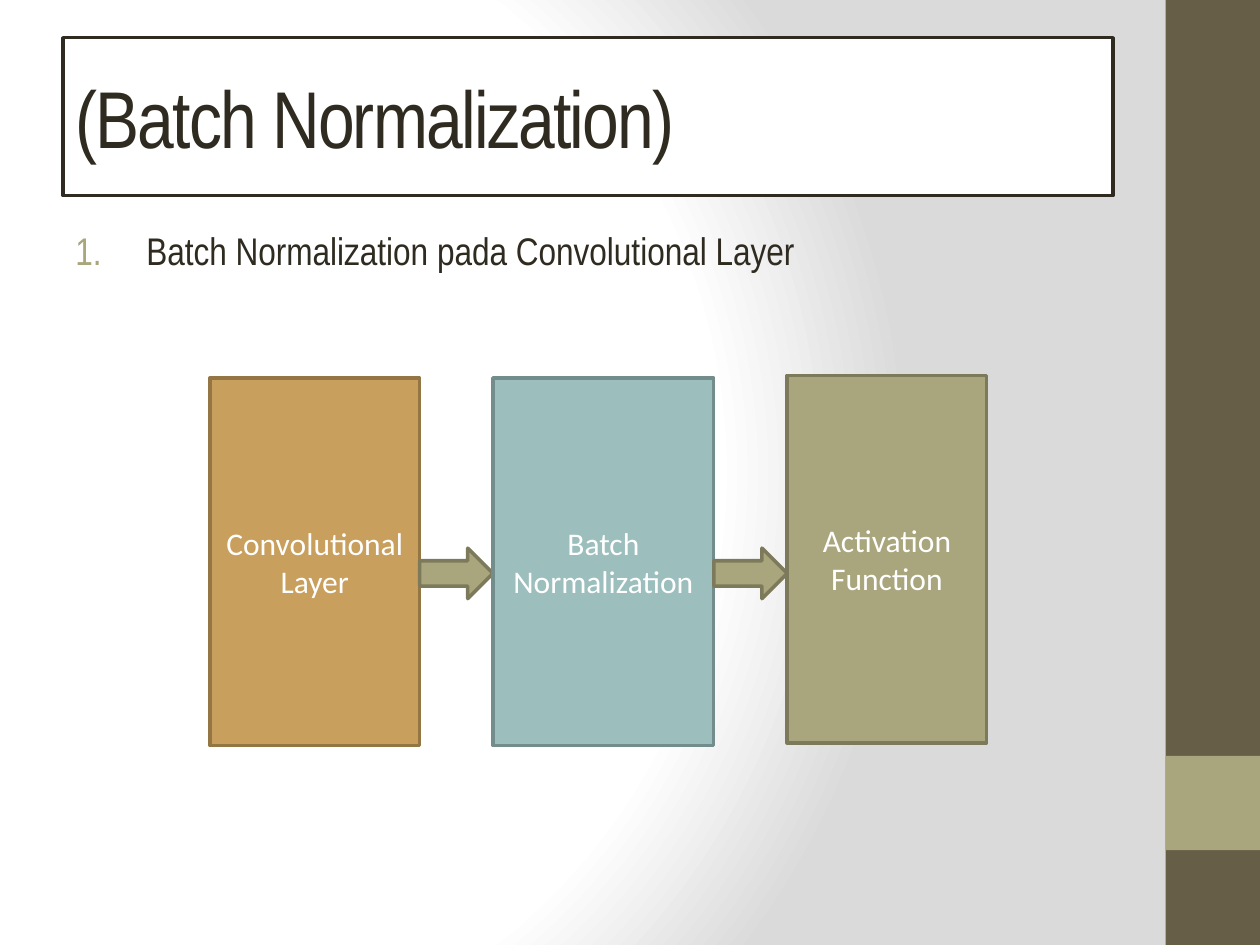
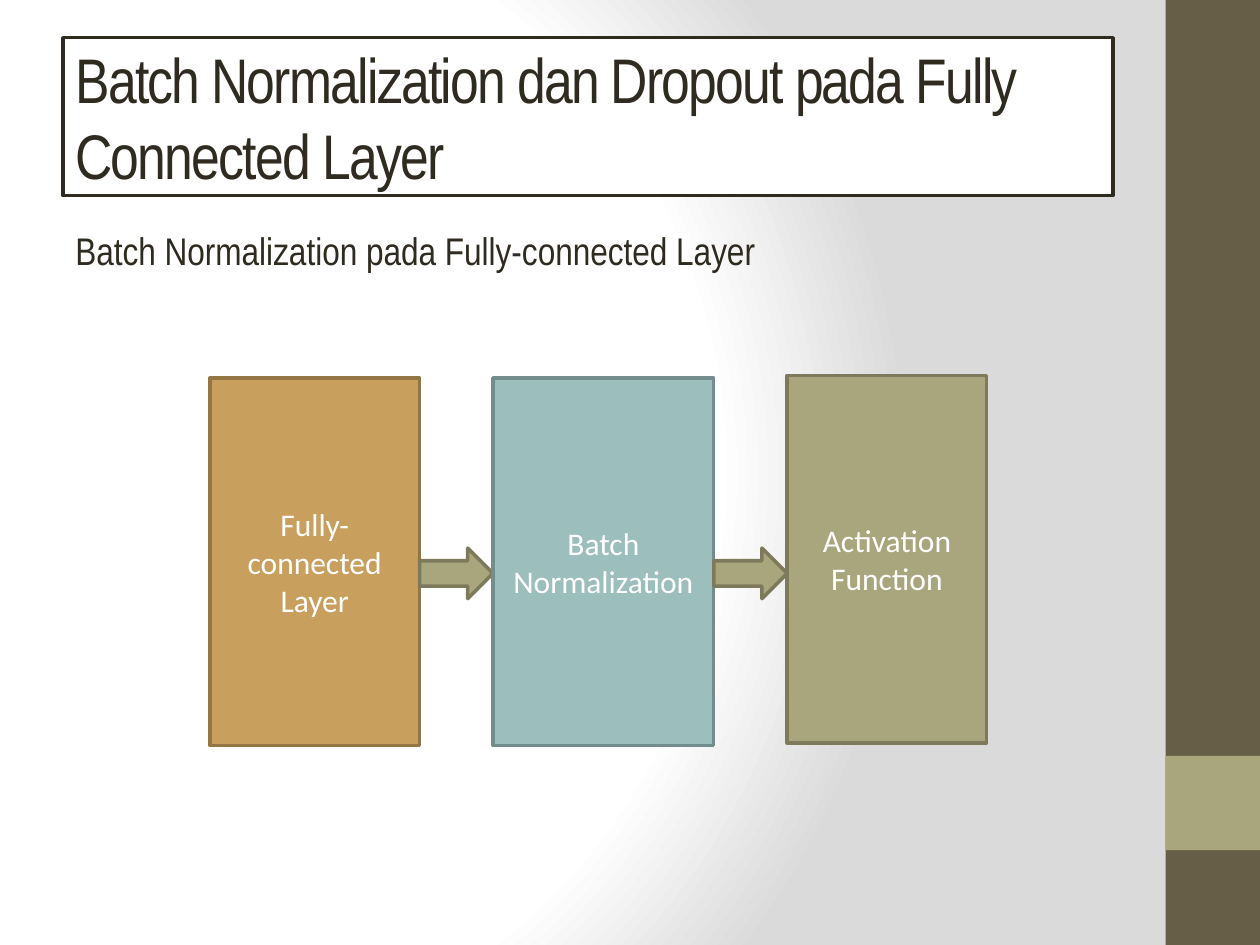
"""Build two slides on batch normalization in network layers."""
from dataclasses import dataclass

import lxml.etree
import pptx
import pptx.dml.color
import pptx.enum.shapes
import pptx.enum.text
import pptx.oxml
import pptx.oxml.ns
import pptx.util

Cm, Pt = pptx.util.Cm, pptx.util.Pt
SHAPE = pptx.enum.shapes.MSO_SHAPE
ALIGN = pptx.enum.text.PP_ALIGN
ANCHOR = pptx.enum.text.MSO_ANCHOR

INK, WHITE, SHADE = "2F2B20", "FFFFFF", "DADADA"
BROWN, OLIVE, OLIVE_EDGE = "675E47", "A9A57C", "7D7A5C"
HEAD_FONT, BOX_FONT = "Arial Narrow", "Calibri"
TEXT_LEFT, TEXT_WIDTH = 1.27, 21.17
FLOW_LEFT, BOX_HEIGHT, GAP = 4.23, 7.41, 1.48
ARROW_TOP, ARROW_HEIGHT = 11.05, 1.02

GRADIENT = f"""<a:gradFill {pptx.oxml.ns.nsdecls('a')} rotWithShape="1"><a:gsLst>
<a:gs pos="0"><a:srgbClr val="{WHITE}"/></a:gs>
<a:gs pos="75000"><a:srgbClr val="{WHITE}"/></a:gs>
<a:gs pos="100000"><a:srgbClr val="{SHADE}"/></a:gs></a:gsLst>
<a:path path="circle"><a:fillToRect l="20000" t="50000" r="100000" b="50000"/></a:path>
</a:gradFill>"""


@dataclass(frozen=True)
class Band:
    top: float
    height: float
    fill: str


@dataclass(frozen=True)
class Stage:
    top: float
    width: float
    fill: str
    edge: str


@dataclass(frozen=True)
class Page:
    title: str
    title_size: int
    subtitle: str
    numbered: bool
    labels: tuple[str, str, str]


BANDS = (Band(0, 19.05, BROWN), Band(15.24, 1.9, OLIVE))
STAGES = (
    Stage(7.62, 4.23, "C89F5D", "947645"),
    Stage(7.62, 4.45, "9CBEBD", "738D8C"),
    Stage(7.57, 4.02, OLIVE, OLIVE_EDGE),
)
PAGES = (
    Page("(Batch Normalization)", 46,
         "Batch Normalization pada Convolutional Layer", True,
         ("Convolutional Layer", "Batch Normalization", "Activation Function")),
    Page("Batch Normalization dan Dropout pada Fully Connected Layer", 36,
         "Batch Normalization pada Fully-connected Layer", False,
         ("Fully-connected Layer", "Batch Normalization", "Activation Function")),
)


def rgb(value: str) -> pptx.dml.color.RGBColor:
    """Turn a hex string into a colour."""
    return pptx.dml.color.RGBColor.from_string(value)


def add_block(s, kind, left: float, top: float, width: float, height: float,
              fill: str, edge: str | None = None):
    """Add a filled shape, outlined when an edge colour is given."""
    sp = s.shapes.add_shape(kind, Cm(left), Cm(top), Cm(width), Cm(height))
    sp.shadow.inherit = False
    sp.fill.solid()
    sp.fill.fore_color.rgb = rgb(fill)
    if edge:
        sp.line.color.rgb = rgb(edge)
        sp.line.width = Pt(2)
    else:
        sp.line.fill.background()
    return sp


def write(sp, text: str, font: str, size: float, color: str, align, anchor):
    """Write one styled paragraph and return it."""
    tf = sp.text_frame
    tf.word_wrap = True
    tf.vertical_anchor = anchor
    p = tf.paragraphs[0]
    p.text = text
    p.alignment = align
    p.font.name, p.font.size = font, Pt(size)
    p.font.color.rgb = rgb(color)
    return p


def number(p) -> None:
    """Give a paragraph a coloured automatic number."""
    pPr = p._p.get_or_add_pPr()
    indent = Cm(1.43)
    pPr.set("marL", str(indent))
    pPr.set("indent", str(-indent))
    ns = pptx.oxml.ns.nsdecls("a")
    defaults = pPr.find(pptx.oxml.ns.qn("a:defRPr"))
    for xml in (f'<a:buClr {ns}><a:srgbClr val="{OLIVE}"/></a:buClr>',
                f'<a:buFont {ns} typeface="+mj-lt"/>',
                f'<a:buAutoNum {ns} type="arabicPeriod"/>'):
        defaults.addprevious(pptx.oxml.parse_xml(xml))


def add_frame(s) -> None:
    """Paint the gradient background and the side bands."""
    fill = s.background.fill
    fill.gradient()
    old = next(s._element.iter(pptx.oxml.ns.qn("a:gradFill")))
    old.getparent().replace(old, pptx.oxml.parse_xml(GRADIENT))
    for band in BANDS:
        add_block(s, SHAPE.RECTANGLE, 23.5, band.top, 1.9, band.height, band.fill)


def add_heading(s, page: Page) -> None:
    """Add the boxed title and the line below it."""
    sp = add_block(s, SHAPE.RECTANGLE, TEXT_LEFT, 0.76, TEXT_WIDTH, 3.18, WHITE, INK)
    p = write(sp, page.title, HEAD_FONT, page.title_size, INK, ALIGN.LEFT, ANCHOR.MIDDLE)
    p.runs[0]._r.get_or_add_rPr().set("spc", "-100")
    sp = s.shapes.add_textbox(Cm(TEXT_LEFT), Cm(4.45), Cm(TEXT_WIDTH), Cm(13.34))
    p = write(sp, page.subtitle, HEAD_FONT, 22, INK, ALIGN.LEFT, ANCHOR.TOP)
    p.space_before = Pt(4.4)
    if page.numbered:
        number(p)


def add_flow(s, labels: tuple[str, str, str]) -> None:
    """Add the stages from left to right with an arrow in each gap."""
    left = FLOW_LEFT
    for i, (stage, label) in enumerate(zip(STAGES, labels)):
        if i:
            add_block(s, SHAPE.RIGHT_ARROW, left - GAP, ARROW_TOP, GAP, ARROW_HEIGHT,
                      OLIVE, OLIVE_EDGE)
        sp = add_block(s, SHAPE.RECTANGLE, left, stage.top, stage.width, BOX_HEIGHT,
                       stage.fill, stage.edge)
        write(sp, label, BOX_FONT, 18, WHITE, ALIGN.CENTER, ANCHOR.MIDDLE)
        left += stage.width + GAP


def main() -> None:
    """Build and save the slides."""
    prs = pptx.Presentation()
    prs.slide_width, prs.slide_height = Cm(25.4), Cm(19.05)
    for page in PAGES:
        s = prs.slides.add_slide(prs.slide_layouts[6])
        add_frame(s)
        add_heading(s, page)
        add_flow(s, page.labels)
    prs.save("out.pptx")


if __name__ == "__main__":
    main()
